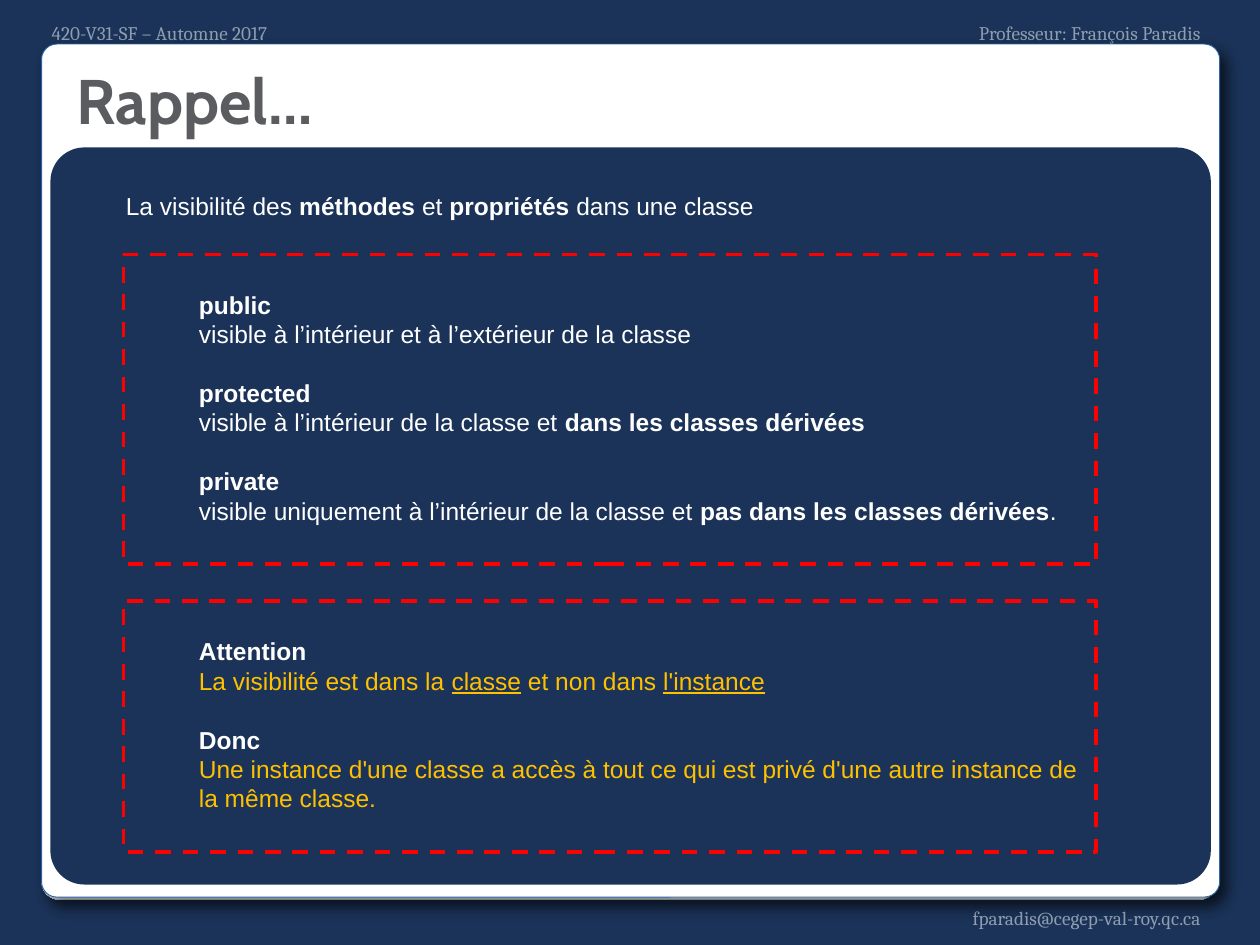
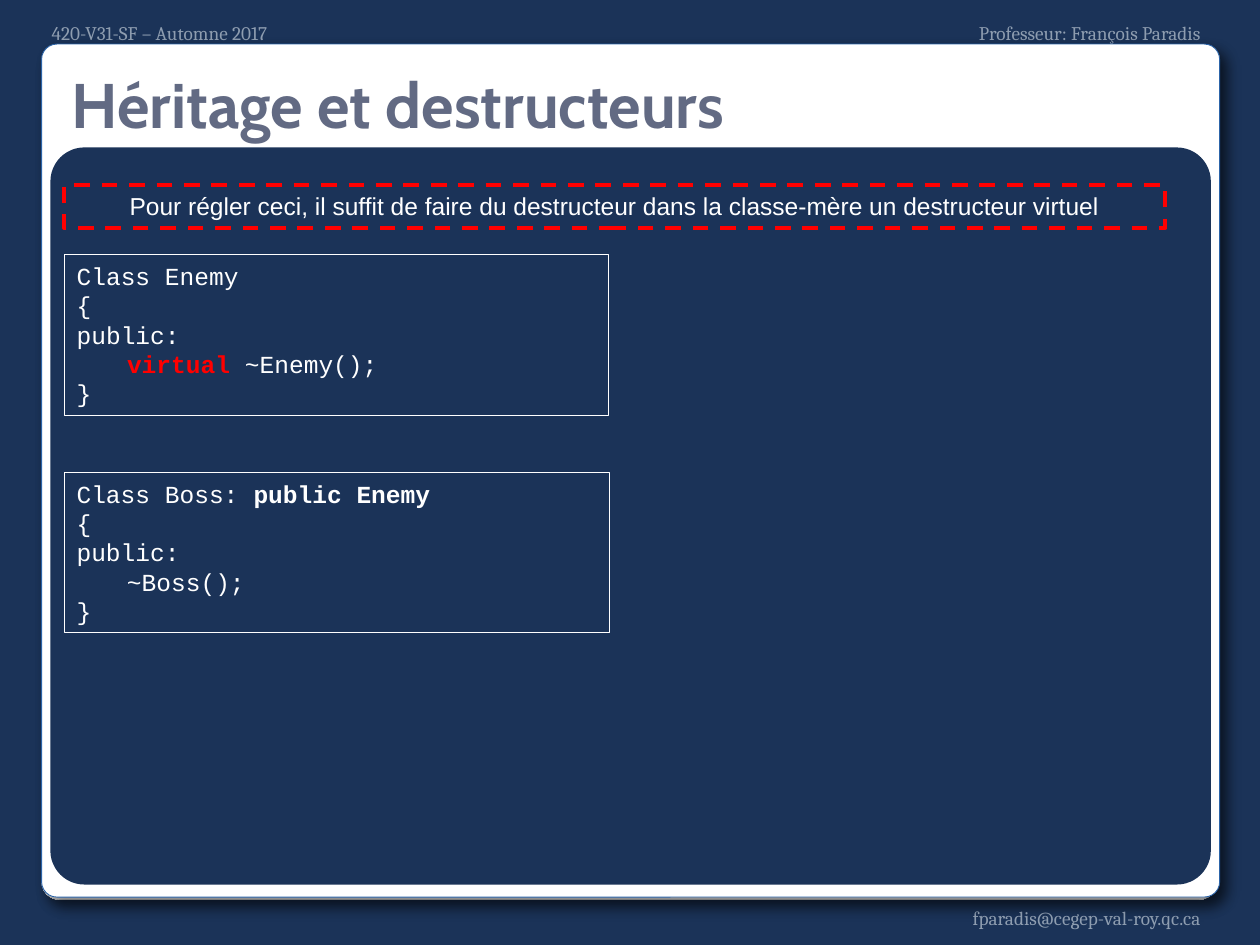
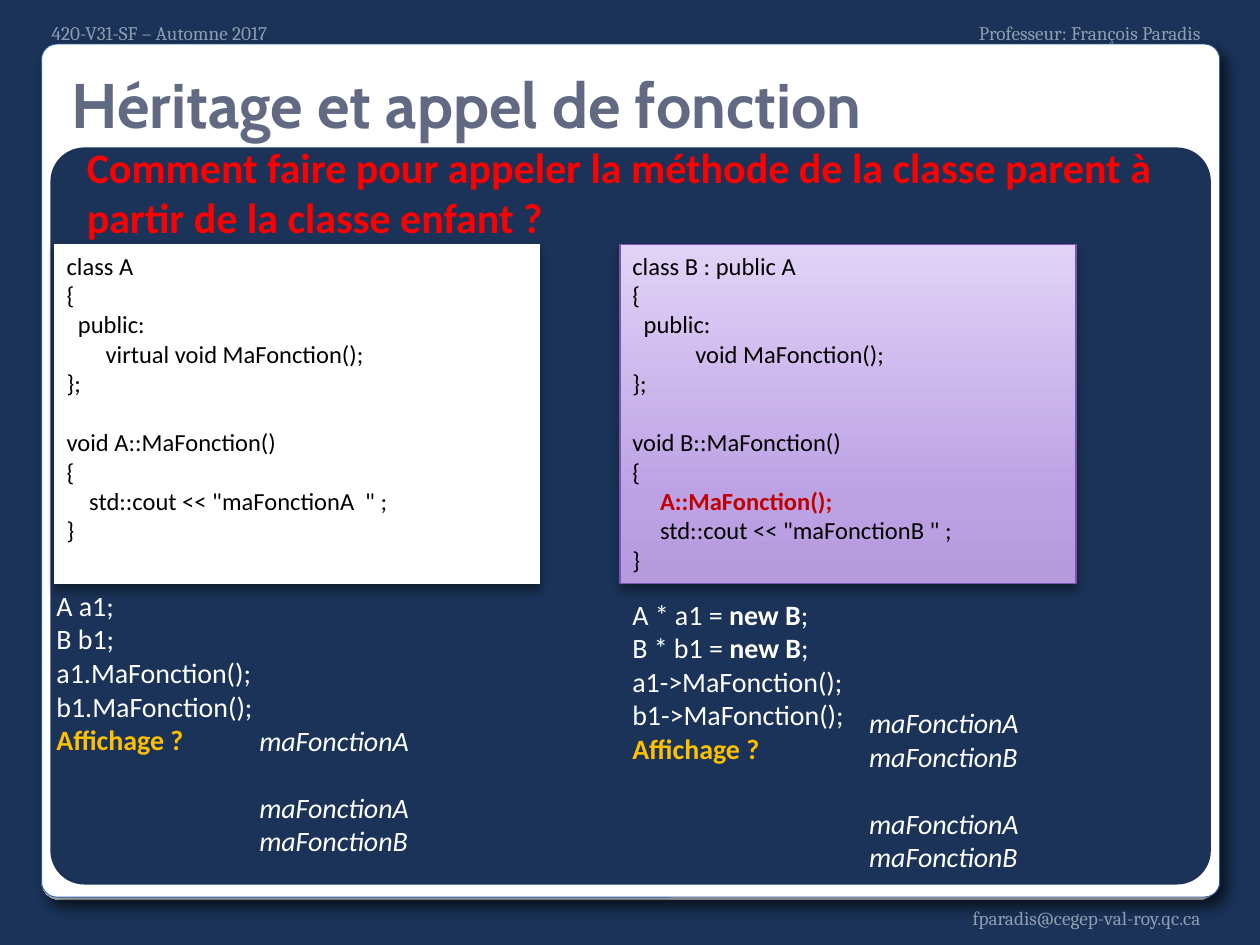
import dataclasses

import lxml.etree
import pptx
import pptx.dml.color
import pptx.enum.dml
import pptx.enum.shapes
import pptx.enum.text
import pptx.oxml.ns
import pptx.util

Inches, Pt = pptx.util.Inches, pptx.util.Pt
ALIGN, ANCHOR = pptx.enum.text.PP_ALIGN, pptx.enum.text.MSO_ANCHOR
PRESET = pptx.enum.shapes.MSO_SHAPE

NAVY, WHITE, BLACK = "1B3358", "FFFFFF", "000000"
RED, DARK_RED, AMBER = "FF0000", "C00000", "FFC000"
PALE_BLUE, EDGE_BLUE = "8E9DB0", "2C64A8"
TITLE_GREY, TITLE_SLATE = "5B5C5F", "626A83"
VIOLET = "7E54B2"
BOLD, UNDERLINE, ITALIC = {"bold": True}, {"underline": True}, {"italic": True}
LINE_HEIGHT = 1.2
CARD_SHADOW = (8, 6, 45)
CODE_SHADOW = (5.2, 3, 90)


@dataclasses.dataclass
class Type:
    """Font, size and colour shared by a block of text."""
    font: str
    size: float
    color: str = WHITE


@dataclasses.dataclass
class Line:
    """One paragraph: plain text or (text, style) runs."""
    content: object
    style: dict = dataclasses.field(default_factory=dict)
    indent: float = 0
    gap: bool = False


ARIAL = Type("Arial", 14)
COURIER = Type("Courier New", 14)
CODE = Type("Calibri", 14, BLACK)
USAGE = Type("Calibri", 16)


def rgb(hex_color):
    """Turn a hex string into a colour."""
    return pptx.dml.color.RGBColor.from_string(hex_color)


def apply_style(font, style):
    """Set the given attributes on a font."""
    for key, value in style.items():
        if key == "color":
            font.color.rgb = rgb(value)
        else:
            setattr(font, key, value)


def write(holder, lines, kind, align=ALIGN.LEFT, anchor=ANCHOR.TOP, margins=(0.1, 0.05), wrap=True):
    """Fill a shape with paragraphs."""
    frame = holder.text_frame
    frame.word_wrap = wrap
    frame.vertical_anchor = anchor
    frame.margin_left = frame.margin_right = Inches(margins[0])
    frame.margin_top = frame.margin_bottom = Inches(margins[1])
    for index, line in enumerate(lines):
        line = Line(line) if isinstance(line, str) else line
        paragraph = frame.add_paragraph() if index else frame.paragraphs[0]
        paragraph.alignment = align
        paragraph.line_spacing = Pt(kind.size * LINE_HEIGHT)
        if line.gap:
            paragraph.space_before = Pt(kind.size * LINE_HEIGHT)
        if line.indent:
            properties = paragraph._p.get_or_add_pPr()
            properties.set("marL", str(Inches(line.indent)))
            properties.set("indent", "0")
        base = {"name": kind.font, "size": Pt(kind.size), "color": kind.color}
        apply_style(paragraph.font, {**base, **line.style})
        runs = [(line.content, {})] if isinstance(line.content, str) else line.content
        for text, style in runs:
            run = paragraph.add_run()
            run.text = text
            apply_style(run.font, style)


def add_text(slide, box, lines, kind, **options):
    """Add a text box."""
    holder = slide.shapes.add_textbox(*map(Inches, box))
    write(holder, lines, kind, **options)


def add_stops(parent, stops):
    """Replace the gradient stops by (percent, colour) pairs."""
    for stop in list(parent):
        parent.remove(stop)
    for percent, color in stops:
        stop = lxml.etree.SubElement(parent, pptx.oxml.ns.qn("a:gs"), pos=str(percent * 1000))
        lxml.etree.SubElement(stop, pptx.oxml.ns.qn("a:srgbClr"), val=color)


def cast_shadow(shape, blur, distance, angle):
    """Give a shape a soft black shadow."""
    qn = pptx.oxml.ns.qn
    effects = shape._element.spPr.find(qn("a:effectLst"))
    outer = lxml.etree.SubElement(
        effects, qn("a:outerShdw"), blurRad=str(Pt(blur)), dist=str(Pt(distance)),
        dir=str(angle * 60000), algn="tl", rotWithShape="0")
    color = lxml.etree.SubElement(outer, qn("a:srgbClr"), val=BLACK)
    lxml.etree.SubElement(color, qn("a:alpha"), val="40000")


def add_panel(slide, box, fill=None, line=None, width=0.75, dashed=False,
              corner=None, gradient=None, shadow=None):
    """Add a rectangle, rounded when a corner is given."""
    preset = PRESET.RECTANGLE if corner is None else PRESET.ROUNDED_RECTANGLE
    panel = slide.shapes.add_shape(preset, *map(Inches, box))
    panel.shadow.inherit = False
    if corner is not None:
        panel.adjustments[0] = corner
    if gradient:
        stops, angle = gradient
        panel.fill.gradient()
        panel.fill.gradient_angle = angle
        add_stops(panel._element.spPr.find(".//" + pptx.oxml.ns.qn("a:gsLst")), stops)
    elif fill:
        panel.fill.solid()
        panel.fill.fore_color.rgb = rgb(fill)
    else:
        panel.fill.background()
    if line:
        panel.line.color.rgb = rgb(line)
        panel.line.width = Pt(width)
        if dashed:
            panel.line.dash_style = pptx.enum.dml.MSO_LINE.DASH
    else:
        panel.line.fill.background()
    if shadow:
        cast_shadow(panel, *shadow)
    return panel


def add_frame(deck):
    """Add a slide with its background, card and running texts."""
    slide = deck.slides.add_slide(deck.slide_layouts[6])
    slide.background.fill.solid()
    slide.background.fill.fore_color.rgb = rgb(NAVY)
    sheen = [(0, WHITE), (98, WHITE), (99, "F7F7F7"), (100, "DADADA")]
    add_panel(slide, (0.33, 0.36, 9.33, 6.78), line="A4A4A4", width=0.16,
              corner=0.021, gradient=(sheen, 270), shadow=CARD_SHADOW)
    running = Type("Cambria", 11, PALE_BLUE)
    for box, text, align, anchor in (
            ((6.48, 7.19, 3.05, 0.31), "fparadis@cegep-val-roy.qc.ca", ALIGN.RIGHT, ANCHOR.TOP),
            ((0.41, 0.12, 2.5, 0.23), "420-V31-SF – Automne 2017", ALIGN.LEFT, ANCHOR.BOTTOM),
            ((7.03, 0.12, 2.5, 0.23), "Professeur: François Paradis", ALIGN.RIGHT, ANCHOR.BOTTOM)):
        add_text(slide, box, [text], running, align=align, anchor=anchor, margins=(0, 0))
    add_panel(slide, (0.33, 0.35, 9.35, 6.77), WHITE, EDGE_BLUE, 0.5,
              corner=0.018, shadow=CARD_SHADOW)
    add_panel(slide, (0.4, 1.17, 9.21, 5.85), NAVY, corner=0.046)
    return slide


def add_title(slide, text, left=0.47, top=0.39, color=TITLE_SLATE):
    """Add the slide title."""
    add_text(slide, (left, top, 8.95, 0.78), [Line(text, BOLD)],
             Type("Cabin", 36, color), anchor=ANCHOR.BOTTOM)


def add_definitions(slide, box, entries):
    """Add a dashed box of terms, each followed by its explanation."""
    panel = add_panel(slide, box, line=RED, width=2.25, dashed=True)
    lines = []
    for term, explanation, style in entries:
        lines += [Line(term, BOLD, 0.5, gap=bool(lines)), Line(explanation, style, 0.5)]
    write(panel, lines, ARIAL, margins=(0.1, 0.28))


def add_code(slide, box, lines, kind, **look):
    """Add a framed code listing."""
    write(add_panel(slide, box, **look), lines, kind)


def build_visibility(deck):
    """Build the reminder on visibility."""
    slide = add_frame(deck)
    add_definitions(slide, (0.98, 2.02, 7.72, 2.46), [
        ("public", "visible à l’intérieur et à l’extérieur de la classe", {}),
        ("protected", [("visible à l’intérieur de la classe et ", {}),
                       ("dans les classes dérivées", BOLD)], {}),
        ("private", [("visible uniquement à l’intérieur de la classe et ", {}),
                     ("pas dans les classes dérivées", BOLD), (".", {})], {}),
    ])
    add_text(slide, (0.9, 1.47, 5.21, 0.34), [Line([
        ("La visibilité des ", {}), ("méthodes", BOLD), (" et ", {}),
        ("propriétés", BOLD), (" dans une classe", {})])], ARIAL, wrap=False)
    add_title(slide, "Rappel…", 0.51, 0.36, TITLE_GREY)
    amber = {"color": AMBER}
    add_definitions(slide, (0.98, 4.77, 7.72, 1.99), [
        ("Attention", [("La visibilité est dans la ", {}), ("classe", UNDERLINE),
                       (" et non dans ", {}), ("l'instance", UNDERLINE)], amber),
        ("Donc", "Une instance d'une classe a accès à tout ce qui est privé "
                 "d'une autre instance de la même classe.", amber),
    ])


def build_destructors(deck):
    """Build the slide on virtual destructors."""
    slide = add_frame(deck)
    add_title(slide, "Héritage et destructeurs")
    enemy = [("virtual", {"color": RED, "bold": True}), (" ~Enemy();", {})]
    boss = [("Class Boss: ", {}), ("public Enemy", BOLD)]
    for box, heading, destructor in (
            ((0.51, 2.02, 4.32, 1.28), "Class Enemy", enemy),
            ((0.51, 3.75, 4.33, 1.27), boss, "~Boss();")):
        lines = [Line(heading), "{", "public:", Line(destructor, indent=0.4), "}"]
        add_code(slide, box, lines, COURIER, line=WHITE)
    remedy = add_panel(slide, (0.51, 1.47, 8.74, 0.34), line=RED, width=2.25, dashed=True)
    write(remedy, ["Pour régler ceci, il suffit de faire du destructeur dans la "
                   "classe-mère un destructeur virtuel"], ARIAL, align=ALIGN.CENTER)


def class_listing(heading, method, method_indent, name, body):
    """Return the lines declaring a class and defining its method."""
    return [heading, "{", Line("public:", indent=0.09), Line(method, indent=method_indent), "};",
            Line(f"void {name}::MaFonction()", gap=True), "{", *body, "}"]


def build_parent_call(deck):
    """Build the slide on calling the parent's method."""
    slide = add_frame(deck)
    parent = class_listing("class A", "virtual void MaFonction();", 0.31, "A",
                           [Line('std::cout << "maFonctionA  " ;', indent=0.18)])
    add_code(slide, (0.43, 1.94, 3.85, 2.69), parent, CODE,
             fill=WHITE, line=WHITE, shadow=CODE_SHADOW)
    child = class_listing("class B : public A", "void MaFonction();", 0.5, "B", [
        Line("A::MaFonction();", {"color": DARK_RED, "bold": True}, 0.22),
        Line('std::cout << "maFonctionB " ;', indent=0.22)])
    lilac = [(0, "B59ADE"), (25, "BCA1E4"), (100, "E0D3F6")]
    add_code(slide, (4.92, 1.94, 3.62, 2.69), child, CODE,
             gradient=(lilac, 90), line=VIOLET, shadow=CODE_SHADOW)
    add_text(slide, (0.59, 1.07, 8.82, 1.21), [Line(
        "Comment faire pour appeler la méthode de la classe parent à "
        "partir de la classe enfant ?", BOLD)], Type("Calibri", 24, RED))
    question = Line("Affichage ?", {"color": AMBER, "bold": True})
    objects = ["A a1;", "B b1;"]
    pointers = [Line([(f"{declaration} = ", {}), ("new B", BOLD), (";", {})])
                for declaration in ("A * a1", "B * b1")]
    for box, declarations, access in (
            ((0.35, 4.62, 2.1, 1.45), objects, "."),
            ((4.92, 4.69, 2.05, 1.45), pointers, "->")):
        calls = [f"{name}{access}MaFonction();" for name in ("a1", "b1")]
        add_text(slide, box, [*declarations, *calls, question], USAGE)
    for box, first_output in (
            ((1.96, 5.69, 1.95, 1.18), ["maFonctionA"]),
            ((6.8, 5.55, 1.95, 1.45), ["maFonctionA", "maFonctionB"])):
        lines = [Line(text, ITALIC) for text in first_output]
        lines += [Line("maFonctionA", ITALIC, gap=True), Line("maFonctionB", ITALIC)]
        add_text(slide, box, lines, USAGE)
    add_title(slide, "Héritage et appel de fonction")


def main():
    """Build and save the presentation."""
    deck = pptx.Presentation()
    deck.slide_width, deck.slide_height = Inches(10), Inches(7.5)
    build_visibility(deck)
    build_destructors(deck)
    build_parent_call(deck)
    deck.save("out.pptx")


if __name__ == "__main__":
    main()
